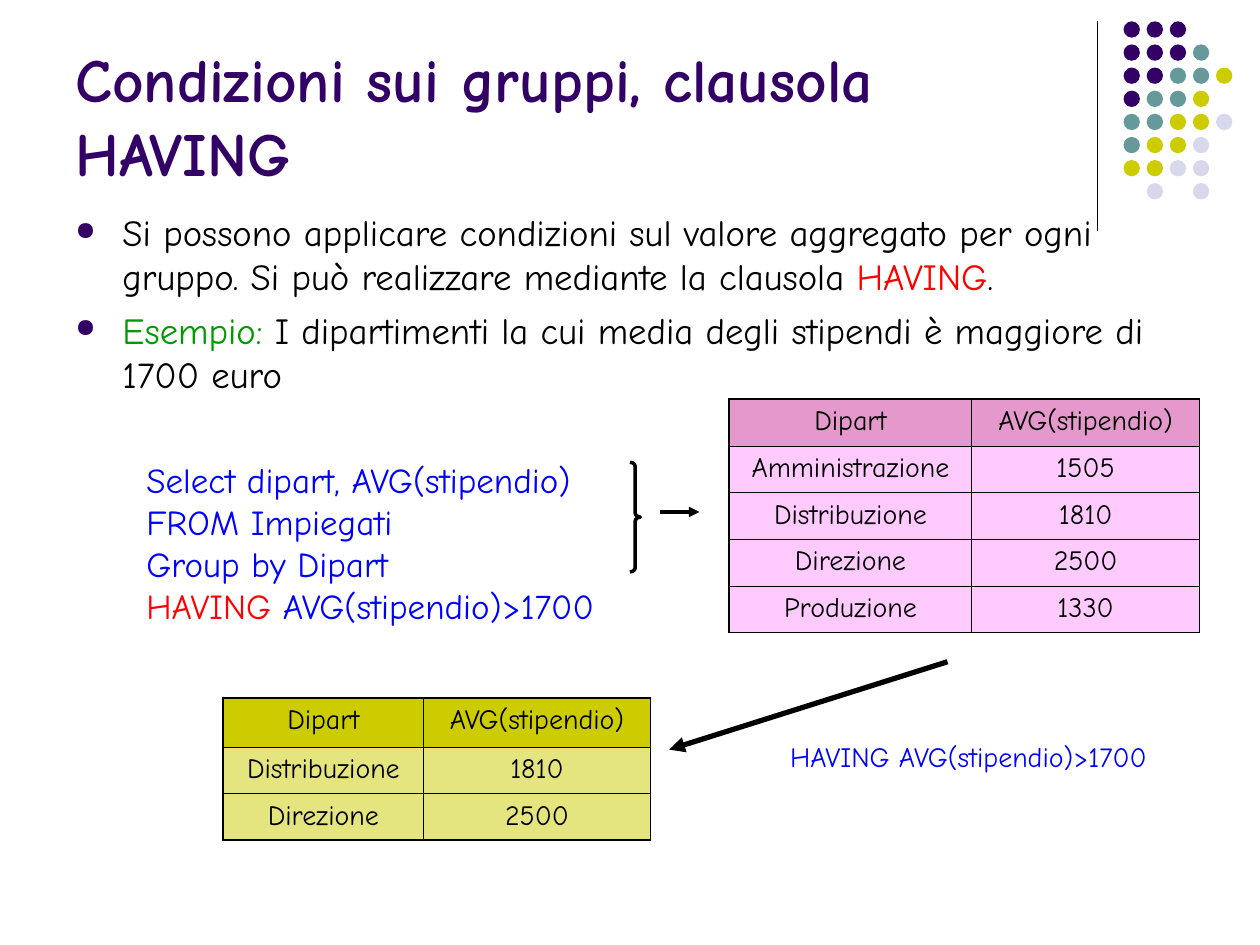
import pptx
import pptx.dml.color
import pptx.enum.shapes
import pptx.enum.text
import pptx.oxml
import pptx.oxml.ns
import pptx.util
from pptx.util import Cm, Pt

FONT = "Comic Neue"
BLACK, PURPLE, BLUE, RED, GREEN = "000000", "330066", "0000FF", "FF0000", "009900"
OLIVE = "CCCC00"

TITLE = [[("Condizioni sui gruppi, clausola HAVING", PURPLE)]]
BODY = [
    [("Si possono applicare condizioni sul valore aggregato per ogni gruppo. "
      "Si può realizzare mediante la clausola ", BLACK), ("HAVING", RED), (".", BLACK)],
    [("Esempio:", GREEN),
     (" I dipartimenti la cui media degli stipendi è maggiore di 1700 euro", BLACK)],
]
QUERY = [
    [("Select dipart, AVG(stipendio)", BLUE)],
    [("FROM Impiegati", BLUE)],
    [("Group by Dipart", BLUE)],
    [("HAVING", RED), (" AVG(stipendio)>1700", BLUE)],
]
CONDITION = [[("HAVING AVG(stipendio)>1700", BLUE)]]

HEADER = ("Dipart", "AVG(stipendio)")
GROUPS = [HEADER, ("Amministrazione", "1505"), ("Distribuzione", "1810"),
          ("Direzione", "2500"), ("Produzione", "1330")]
SELECTED = [HEADER, ("Distribuzione", "1810"), ("Direzione", "2500")]

DOT_COLOURS = {"p": PURPLE, "t": "669999", "o": OLIVE, "l": "D8D8EC"}
DOT_ROWS = ["ppp", "pppt", "pptto", "ptto", "ttool", "tool", "ooll", " l l"]
DOT_LEFT, DOT_TOP, DOT_PITCH, DOT_SIZE = 22.65, 0.43, 0.466, 0.33

deck = pptx.Presentation()
deck.slide_width, deck.slide_height = Cm(25.4), Cm(19.05)
page = deck.slides.add_slide(deck.slide_layouts[6])


def rgb(value):
    return pptx.dml.color.RGBColor.from_string(value)


def element(markup):
    head, tail = markup.split(" ", 1)
    return pptx.oxml.parse_xml(f"{head} {pptx.oxml.ns.nsdecls('a')} {tail}")


def fill_solid(fill, colour, opacity=100):
    fill.solid()
    fill.fore_color.rgb = rgb(colour)
    if opacity < 100:
        colour_node = fill._xPr.find(".//" + pptx.oxml.ns.qn("a:srgbClr"))
        colour_node.append(element(f'<a:alpha val="{opacity * 1000}"/>'))


def add_text(place, paragraphs, size, bold=False, wrap=True, bottom=False):
    box = page.shapes.add_textbox(*map(Cm, place))
    frame = box.text_frame
    frame.word_wrap = wrap
    if bottom:
        frame.vertical_anchor = pptx.enum.text.MSO_ANCHOR.BOTTOM
    for index, spans in enumerate(paragraphs):
        para = frame.add_paragraph() if index else frame.paragraphs[0]
        for text, colour in spans:
            span = para.add_run()
            span.text = text
            span.font.name, span.font.size, span.font.bold = FONT, Pt(size), bold
            span.font.color.rgb = rgb(colour)
    return frame


def add_bullets(frame, indent, gap):
    for index, para in enumerate(frame.paragraphs):
        if index:
            para.space_before = Pt(gap)
        properties = para._p.get_or_add_pPr()
        properties.set("marL", str(Cm(indent)))
        properties.set("indent", str(-Cm(indent)))
        for markup in (f'<a:buClr ><a:srgbClr val="{PURPLE}"/></a:buClr>',
                       '<a:buSzPct val="70000"/>',
                       '<a:buChar char="●"/>'):
            properties.append(element(markup))


def set_borders(cell, widths):
    """Draw black borders; widths are points for left, right, top, bottom."""
    properties = cell._tc.get_or_add_tcPr()
    for index, (side, width) in enumerate(zip("LRTB", widths)):
        properties.insert(index, element(
            f'<a:ln{side} w="{Pt(width)}"><a:solidFill><a:srgbClr val="{BLACK}"/>'
            f'</a:solidFill></a:ln{side}>'))


def add_grid(left, top, column_widths, row_heights, rows, header_fill, body_fill):
    table = page.shapes.add_table(
        len(rows), len(column_widths), Cm(left), Cm(top),
        Cm(sum(column_widths)), Cm(sum(row_heights))).table
    for column, width in zip(table.columns, column_widths):
        column.width = Cm(width)
    last_row, last_column = len(rows) - 1, len(column_widths) - 1
    for r, (values, height) in enumerate(zip(rows, row_heights)):
        table.rows[r].height = Cm(height)
        for c, value in enumerate(values):
            cell = table.cell(r, c)
            cell.text_frame.text = value
            para = cell.text_frame.paragraphs[0]
            para.alignment = pptx.enum.text.PP_ALIGN.CENTER
            font = para.runs[0].font
            font.name, font.size, font.bold = FONT, Pt(16), False
            font.color.rgb = rgb(BLACK)
            fill_solid(cell.fill, *(body_fill if r else header_fill))
            outer = (c == 0, c == last_column, r == 0, r == last_row)
            set_borders(cell, [1.08 if edge else 0.45 for edge in outer])


def add_line(start, end, width, arrow=False):
    line = page.shapes.add_connector(
        pptx.enum.shapes.MSO_CONNECTOR.STRAIGHT, *map(Cm, start + end))
    line.line.color.rgb = rgb(BLACK)
    line.line.width = Pt(width)
    if arrow:
        line.line._get_or_add_ln().append(element('<a:tailEnd type="triangle"/>'))
    line._element.spPr.append(element("<a:effectLst />"))


def add_dots():
    for r, pattern in enumerate(DOT_ROWS):
        for c, key in enumerate(pattern):
            if key == " ":
                continue
            dot = page.shapes.add_shape(
                pptx.enum.shapes.MSO_SHAPE.OVAL,
                Cm(DOT_LEFT + c * DOT_PITCH), Cm(DOT_TOP + r * DOT_PITCH),
                Cm(DOT_SIZE), Cm(DOT_SIZE))
            dot.shadow.inherit = False
            fill_solid(dot.fill, DOT_COLOURS[key])
            dot.line.fill.background()


def add_brace(place):
    brace = page.shapes.add_shape(
        pptx.enum.shapes.MSO_SHAPE.RIGHT_BRACE, *map(Cm, place))
    brace.shadow.inherit = False
    brace.fill.background()
    brace.line.color.rgb = rgb(BLACK)
    brace.line.width = Pt(2)
    brace.adjustments[0] = 0.4


add_line((22.12, 0.43), (22.12, 4.65), 0.75)
add_dots()
add_text((1.27, 0.33, 20.95, 3.6), TITLE, 35, bold=True, bottom=True)
add_bullets(add_text((1.27, 4.11, 22.86, 12.24), BODY, 21), 0.95, 5.2)
add_text((2.7, 9.12, 9.62, 3.65), QUERY, 20, wrap=False)
add_grid(14.7, 8.05, (4.89, 4.59), (0.94,) * 5, GROUPS, ("CC3399", 50), ("FF99FF", 50))
add_line((19.1, 13.34), (13.49, 15.11), 3, arrow=True)
add_text((15.68, 14.78, 7.77, 0.94), CONDITION, 16, wrap=False)
add_grid(4.5, 14.07, (4.04, 4.57), (0.99, 0.94, 0.94), SELECTED, (OLIVE,), (OLIVE, 50))
add_brace((12.7, 9.32, 0.21, 2.21))
add_line((13.31, 10.32), (14.1, 10.32), 2, arrow=True)

deck.save("out.pptx")
